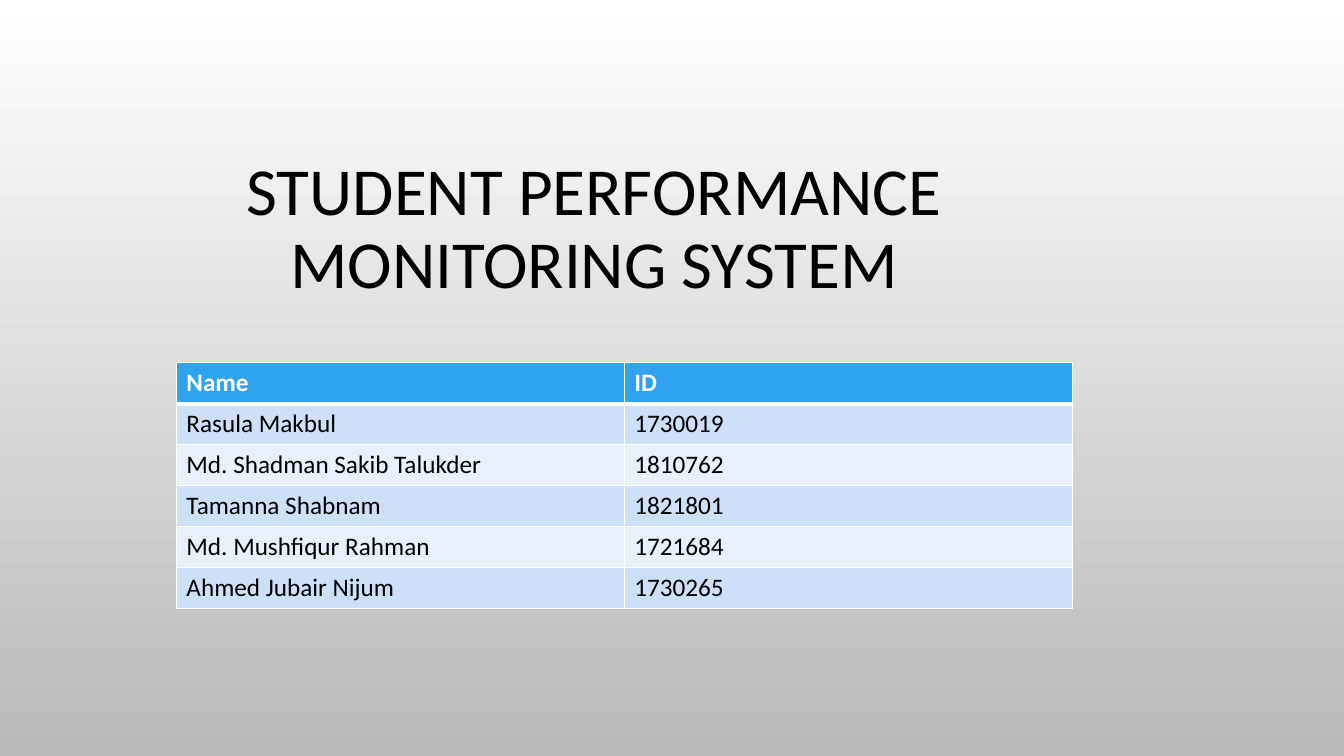
from dataclasses import dataclass

import pptx
import pptx.dml.color
import pptx.enum.text
import pptx.oxml
import pptx.oxml.ns
import pptx.util

Pt = pptx.util.Pt
RGBColor = pptx.dml.color.RGBColor

BLACK = RGBColor(0x00, 0x00, 0x00)
WHITE = RGBColor(0xFF, 0xFF, 0xFF)
GREY = RGBColor(0xB9, 0xB9, 0xB9)
BLUE = RGBColor(0x2F, 0xA3, 0xEE)
MID = RGBColor(0xCD, 0xE0, 0xF8)
PALE = RGBColor(0xE8, 0xF0, 0xFC)
FONT = "Calibri"
ROW = 29.2


@dataclass
class Member:
    name: str
    id: str


MEMBERS = [
    Member("Rasula Makbul", "1730019"),
    Member("Md. Shadman Sakib Talukder", "1810762"),
    Member("Tamanna Shabnam", "1821801"),
    Member("Md. Mushfiqur Rahman", "1721684"),
    Member("Ahmed Jubair Nijum", "1730265"),
]


def add_run(para, text: str, size: float, color: RGBColor, bold: bool = False) -> None:
    run = para.add_run()
    run.text = text
    run.font.name = FONT
    run.font.size = Pt(size)
    run.font.bold = bold
    run.font.color.rgb = color


def set_edge(cell, side: str, width: float) -> None:
    space = pptx.oxml.ns.nsdecls("a")
    edge = pptx.oxml.parse_xml(
        f'<a:ln{side} {space} w="{Pt(width)}"><a:solidFill>'
        f'<a:srgbClr val="{WHITE}"/></a:solidFill></a:ln{side}>'
    )
    cell._tc.get_or_add_tcPr().append(edge)


def draw_back(slide) -> None:
    fill = slide.background.fill
    fill.gradient()
    fill.gradient_angle = 270
    for stop, color, place in zip(fill.gradient_stops, (WHITE, GREY), (0, 1)):
        stop.color.rgb = color
        stop.position = place


def draw_title(slide) -> None:
    box = slide.shapes.add_textbox(Pt(118.8), Pt(63.4), Pt(611.3), Pt(208.8))
    frame = box.text_frame
    frame.word_wrap = True
    frame.vertical_anchor = pptx.enum.text.MSO_ANCHOR.BOTTOM
    frame.margin_bottom = Pt(56)
    para = frame.paragraphs[0]
    para.alignment = pptx.enum.text.PP_ALIGN.CENTER
    para.line_spacing = 0.9
    add_run(para, "STUDENT PERFORMANCE MONITORING SYSTEM", 48, BLACK)


def draw_table(slide) -> None:
    rows = [Member("Name", "ID"), *MEMBERS]
    count = len(rows)
    frame = slide.shapes.add_table(
        count, 2, Pt(126), Pt(259.2), Pt(640), Pt(ROW * count)
    )
    table = frame.table
    for i, member in enumerate(rows):
        head = i == 0
        table.rows[i].height = Pt(ROW)
        for j, text in enumerate((member.name, member.id)):
            cell = table.cell(i, j)
            for side in "LRTB":
                thick = (i, side) in ((0, "B"), (1, "T"))
                set_edge(cell, side, 3 if thick else 1)
            cell.fill.solid()
            cell.fill.fore_color.rgb = BLUE if head else MID if i % 2 else PALE
            para = cell.text_frame.paragraphs[0]
            add_run(para, text, 18, WHITE if head else BLACK, head)


def main() -> None:
    deck = pptx.Presentation()
    deck.slide_width = Pt(960)
    deck.slide_height = Pt(540)
    slide = deck.slides.add_slide(deck.slide_layouts[6])
    draw_back(slide)
    draw_title(slide)
    draw_table(slide)
    deck.save("out.pptx")


if __name__ == "__main__":
    main()
